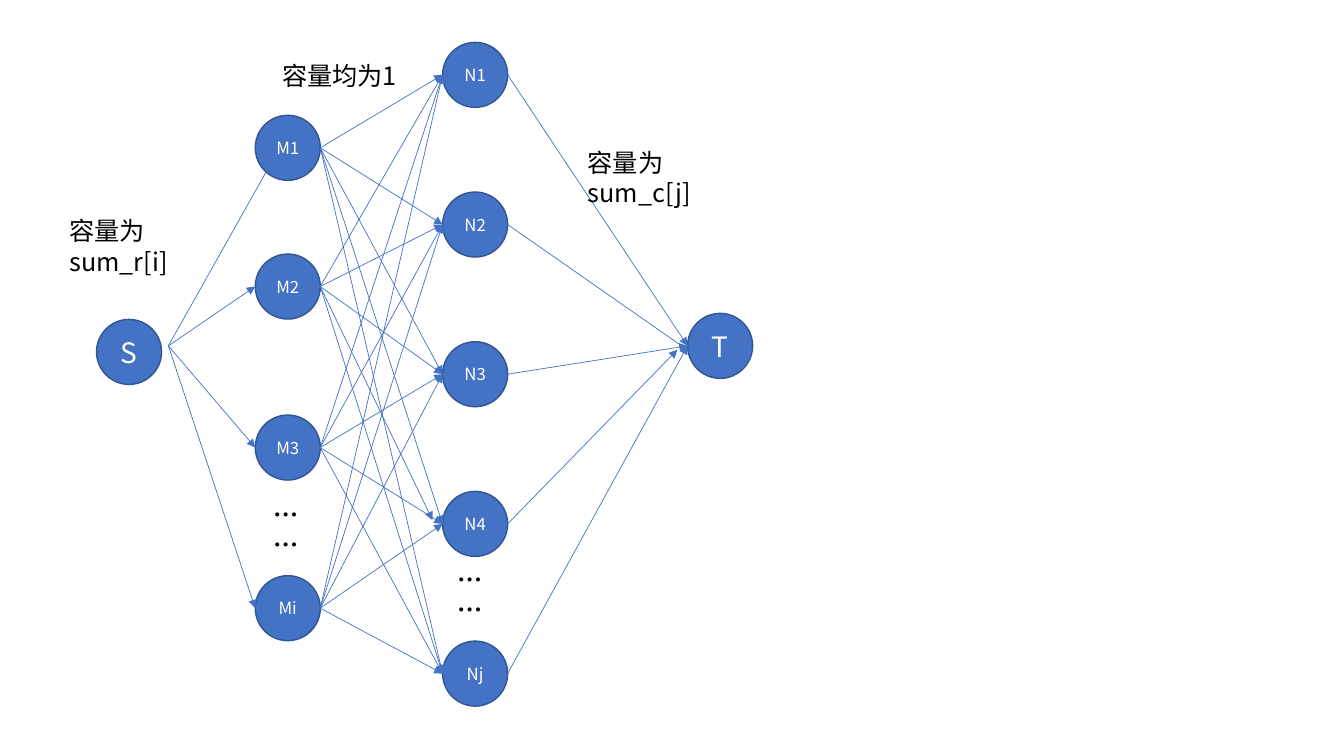
"""Draw the flow network from S through the M and N nodes to T."""
from dataclasses import dataclass
from itertools import product

from lxml.etree import SubElement as Sub
from pptx import Presentation as Deck
from pptx.dml.color import RGBColor
from pptx.enum.shapes import MSO_CONNECTOR as Link, MSO_SHAPE as Form
from pptx.enum.text import MSO_ANCHOR as Anchor, MSO_AUTO_SIZE as Fit, PP_ALIGN as Align
from pptx.oxml.ns import qn
from pptx.shapes.shapetree import SlideShapes as Shapes
from pptx.text.text import TextFrame as Frame
from pptx.util import Inches, Pt

BLUE = RGBColor(0x44, 0x72, 0xC4)
EDGE = RGBColor(0x32, 0x54, 0x91)
WHITE = RGBColor(0xFF, 0xFF, 0xFF)
BLACK = RGBColor(0, 0, 0)
FONT = "Noto Sans CJK SC"
WIDE, HIGH = Inches(13.33), Inches(7.5)
COL, ROW = WIDE / 100, HIGH / 100
SIZE = 4.84

Spot = tuple[float, float]


@dataclass(frozen=True)
class Node:
    """A circle placed by its centre in columns and rows."""
    name: str
    x: float
    y: float
    size: int = 12

    @property
    def left(self) -> Spot:
        """Give the point where arrows arrive."""
        return self.x - SIZE / 2, self.y

    @property
    def right(self) -> Spot:
        """Give the point where arrows leave."""
        return self.x + SIZE / 2, self.y


@dataclass(frozen=True)
class Note:
    """A text box in columns and rows."""
    text: str
    x: float
    y: float
    wide: float
    high: float = 9.47
    bold: bool = False


SOURCE = Node("S", 9.6, 46.55, 20)
SINK = Node("T", 53.58, 45.75, 20)
MIDS = [Node(f"M{tag}", 21.41, y) for tag, y in zip("123i", (19.55, 37.9, 59.2, 80.45))]
ENDS = [Node(f"N{tag}", 35.35, 9.9 + 19.8 * step) for step, tag in enumerate("1234j")]
START = (12.53, 45.75)
TIPS: dict[tuple[str, str], Spot] = {
    ("S", "M1"): (20.25, 21.33),
    ("N2", "T"): (52.43, 47.87),
    ("N4", "T"): (50.4, 46.27),
    ("M2", "N4"): (32.18, 68.8),
}
NOTES = [
    Note("……", 19.58, 65.33, 3, bold=True),
    Note("……", 33.3, 74, 3, bold=True),
    Note("容量为sum_r[i]", 4.43, 27.87, 9.98),
    Note("容量均为1", 20.25, 7.33, 10.28, 5.33),
    Note("容量为sum_c[j]", 42.99, 18.8, 10.43),
]


def style(frame: Frame, size: int, tint: RGBColor, bold: bool = False) -> None:
    """Format every run of a frame."""
    for para in frame.paragraphs:
        for run in para.runs:
            font = run.font
            font.name, font.size, font.bold = FONT, Pt(size), bold
            font.color.rgb = tint
            Sub(run._r.get_or_add_rPr(), qn("a:ea"), typeface=FONT)


def circle(shapes: Shapes, node: Node) -> None:
    """Draw a node with its name."""
    wide = round(SIZE * COL)
    oval = shapes.add_shape(Form.OVAL, round(node.x * COL - wide / 2),
                            round(node.y * ROW - wide / 2), wide, wide)
    oval.shadow.inherit = False
    oval.fill.solid()
    oval.fill.fore_color.rgb = BLUE
    oval.line.color.rgb = EDGE
    oval.line.width = Pt(1)
    frame = oval.text_frame
    frame.text = node.name
    frame.vertical_anchor = Anchor.MIDDLE
    frame.paragraphs[0].alignment = Align.CENTER
    style(frame, node.size, WHITE)


def arrow(shapes: Shapes, start: Spot, end: Spot) -> None:
    """Draw a thin arrow between two points."""
    (x, y), (to_x, to_y) = start, end
    line = shapes.add_connector(Link.STRAIGHT, round(x * COL), round(y * ROW),
                                round(to_x * COL), round(to_y * ROW))
    line.line.color.rgb = BLUE
    line.line.width = Pt(0.5)
    Sub(line.line._get_or_add_ln(), qn("a:tailEnd"), type="triangle")
    Sub(line._element.spPr, qn("a:effectLst"))


def label(shapes: Shapes, note: Note) -> None:
    """Draw a wrapped text box."""
    box = shapes.add_textbox(round(note.x * COL), round(note.y * ROW),
                             round(note.wide * COL), round(note.high * ROW))
    frame = box.text_frame
    frame.word_wrap = True
    frame.auto_size = Fit.SHAPE_TO_FIT_TEXT
    frame.text = note.text
    style(frame, 18, BLACK, note.bold)


def main() -> None:
    """Build and save the slide."""
    deck = Deck()
    deck.slide_width, deck.slide_height = WIDE, HIGH
    shapes = deck.slides.add_slide(deck.slide_layouts[6]).shapes
    for node in (SOURCE, *MIDS, *ENDS, SINK):
        circle(shapes, node)
    pairs = [*product([SOURCE], MIDS), *product(MIDS, ENDS), *product(ENDS, [SINK])]
    for tail, head in pairs:
        start = START if tail is SOURCE else tail.right
        arrow(shapes, start, TIPS.get((tail.name, head.name), head.left))
    for note in NOTES:
        label(shapes, note)
    deck.save("out.pptx")


if __name__ == "__main__":
    main()
